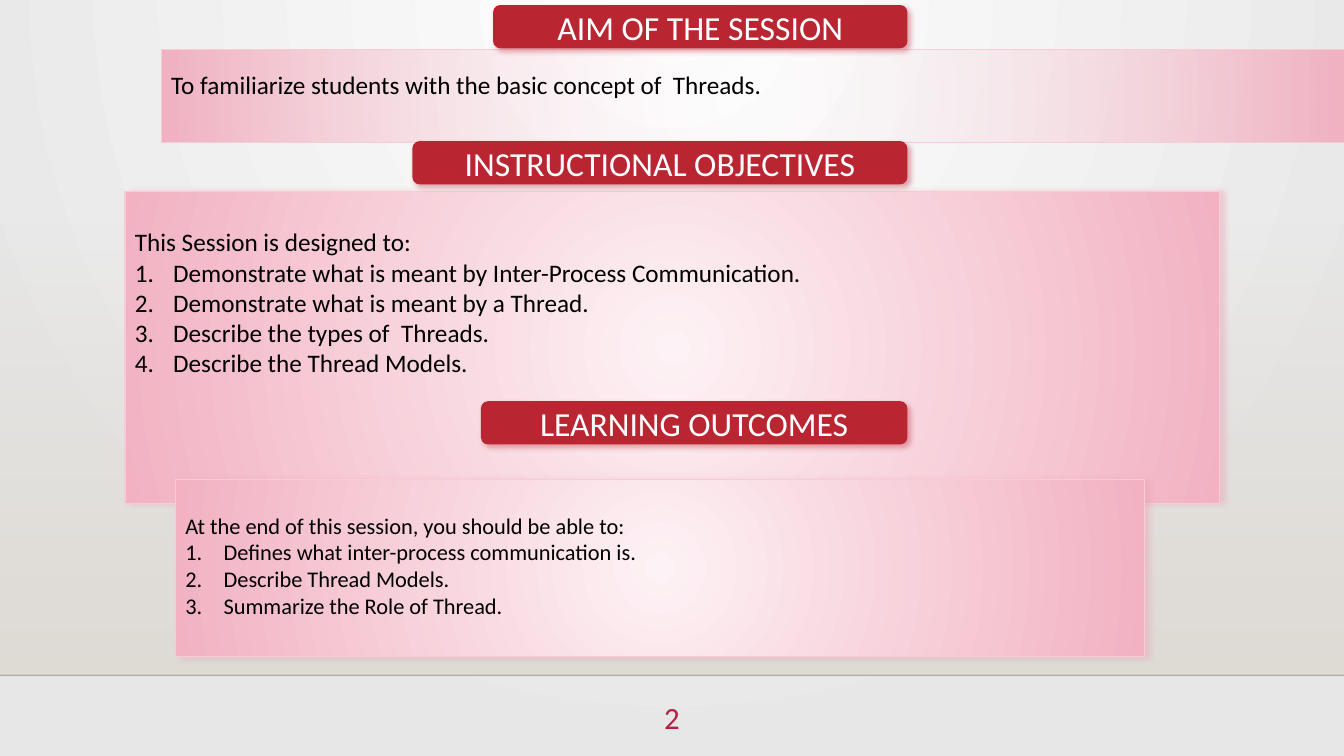
from dataclasses import dataclass

from pptx import Presentation
from pptx.dml.color import RGBColor
from pptx.dml.fill import FillFormat
from pptx.enum.shapes import MSO_CONNECTOR as Connector, MSO_SHAPE as Shape
from pptx.enum.text import MSO_ANCHOR as Anchor, PP_ALIGN as Align
from pptx.oxml import parse_xml
from pptx.oxml.ns import nsdecls, qn
from pptx.oxml.xmlchemy import BaseOxmlElement as Element
from pptx.shapes.autoshape import Shape as AutoShape
from pptx.slide import Slide
from pptx.text.text import TextFrame
from pptx.util import Emu, Inches, Pt


@dataclass(frozen=True)
class Theme:
    font: str = "Calibri"
    text: str = "000000"
    heading: str = "FFFFFF"
    banner: str = "BA2532"
    number: str = "B71E42"
    page_center: str = "FFFFFF"
    page_edge: str = "E7E7E7"
    wall: str = "DFDBD5"
    rule: str = "000001"
    panel_center: str = "FDF2F5"
    panel_edge: str = "F2B2C2"
    panel_line: str = "F7CCD6"
    panel_shadow: str = "EE99AD"
    heading_size: int = 24
    number_size: int = 22


@dataclass(frozen=True)
class Box:
    left: float
    top: float
    width: float
    height: float

    def lengths(self) -> tuple[Emu, ...]:
        return tuple(Inches(v) for v in (self.left, self.top, self.width, self.height))


@dataclass(frozen=True)
class Section:
    heading: str
    banner: Box
    panel: Box
    size: int
    spacing: float
    intro: str
    items: tuple[str, ...] = ()
    opacity: int = 100
    shadow: bool = True


THEME = Theme()
WIDTH, HEIGHT, FLOOR = 13.33, 7.5, 6.7
RADIAL = '<a:path path="circle"><a:fillToRect l="{}" t="{}" r="{}" b="{}"/></a:path>'
PAGE_SHADE = RADIAL.format(43000, 0, 43000, 100000)
PANEL_SHADE = RADIAL.format(50000, 50000, 50000, 50000)
WALL_SHADE = '<a:lin ang="5400000" scaled="0"/>'

SECTIONS = (
    Section("AIM OF THE SESSION", Box(4.89, 0.05, 4.11, 0.43),
            Box(1.6, 0.49, 11.74, 0.92), 18, 1.5,
            "To familiarize students with the basic concept of  Threads.",
            opacity=0, shadow=False),
    Section("INSTRUCTIONAL OBJECTIVES", Box(4.09, 1.4, 4.91, 0.43),
            Box(1.24, 1.9, 10.86, 3.1), 18, 2,
            "This Session is designed to:",
            ("Demonstrate what is meant by Inter-Process Communication.",
             "Demonstrate what is meant by a Thread.",
             "Describe the types of  Threads.",
             "Describe the Thread Models.")),
    Section("LEARNING OUTCOMES", Box(4.77, 3.98, 4.23, 0.43),
            Box(1.74, 4.76, 9.61, 1.75), 16, 2,
            "At the end of this session, you should be able to:",
            ("Defines what inter-process communication is.",
             "Describe Thread Models.",
             "Summarize the Role of Thread.")),
)


def color_xml(color: str, opacity: int) -> str:
    return f'<a:srgbClr val="{color}"><a:alpha val="{opacity * 1000}"/></a:srgbClr>'


def paint_gradient(fill: FillFormat, owner: Element, start: str, end: str,
                   shade: str, opacity: int = 100) -> None:
    fill.gradient()
    grad = owner.find(".//" + qn("a:gradFill"))
    grad.getparent().replace(grad, parse_xml(
        f'<a:gradFill {nsdecls("a")} rotWithShape="1"><a:gsLst>'
        f'<a:gs pos="0">{color_xml(start, opacity)}</a:gs>'
        f'<a:gs pos="100000">{color_xml(end, 100)}</a:gs>'
        f'</a:gsLst>{shade}</a:gradFill>'))


def cast_shadow(sp: AutoShape, color: str, angle: int) -> None:
    effects = sp.element.spPr.find(qn("a:effectLst"))
    effects.append(parse_xml(
        f'<a:outerShdw {nsdecls("a")} blurRad="{Pt(4)}" dist="{Pt(3)}" '
        f'dir="{angle * 60000}" algn="tl" rotWithShape="0">'
        f'{color_xml(color, 40)}</a:outerShdw>'))


def add_block(slide: Slide, kind: Shape, box: Box) -> AutoShape:
    sp = slide.shapes.add_shape(kind, *box.lengths())
    sp.shadow.inherit = False
    sp.line.fill.background()
    return sp


def write(tf: TextFrame, lines: tuple[str, ...], size: int, color: str, align: Align) -> None:
    tf.word_wrap = True
    for i, line in enumerate(lines):
        p = tf.add_paragraph() if i else tf.paragraphs[0]
        p.alignment = align
        r = p.add_run()
        r.text = line
        r.font.name = THEME.font
        r.font.size = Pt(size)
        r.font.color.rgb = RGBColor.from_string(color)


def add_panel(slide: Slide, section: Section) -> None:
    sp = add_block(slide, Shape.RECTANGLE, section.panel)
    paint_gradient(sp.fill, sp.element, THEME.panel_center, THEME.panel_edge,
                   PANEL_SHADE, section.opacity)
    sp.line.color.rgb = RGBColor.from_string(THEME.panel_line)
    sp.line.width = Pt(0.75)
    if section.shadow:
        cast_shadow(sp, THEME.panel_shadow, 0)
    tf = sp.text_frame
    tf.vertical_anchor = Anchor.TOP
    write(tf, (section.intro, *section.items), section.size, THEME.text, Align.LEFT)
    intro, *items = tf.paragraphs
    intro.line_spacing = float(section.spacing)
    for p in items:
        pPr = p._p.get_or_add_pPr()
        pPr.set("marL", str(Inches(0.38)))
        pPr.set("indent", str(-Inches(0.38)))
        pPr.append(parse_xml(f'<a:buAutoNum {nsdecls("a")} type="arabicPeriod"/>'))


def add_banner(slide: Slide, section: Section) -> None:
    sp = add_block(slide, Shape.ROUNDED_RECTANGLE, section.banner)
    sp.fill.solid()
    sp.fill.fore_color.rgb = RGBColor.from_string(THEME.banner)
    cast_shadow(sp, THEME.banner, 45)
    sp.text_frame.vertical_anchor = Anchor.MIDDLE
    write(sp.text_frame, (section.heading,), THEME.heading_size, THEME.heading, Align.CENTER)


def add_backdrop(slide: Slide) -> None:
    paint_gradient(slide.background.fill, slide.element, THEME.page_center,
                   THEME.page_edge, PAGE_SHADE)
    wall = add_block(slide, Shape.RECTANGLE, Box(0, 2.21, WIDTH, FLOOR - 2.21))
    paint_gradient(wall.fill, wall.element, THEME.wall, THEME.wall, WALL_SHADE, 0)
    rule = slide.shapes.add_connector(Connector.STRAIGHT, Inches(0), Inches(FLOOR),
                                      Inches(WIDTH), Inches(FLOOR))
    rule.line.width = Pt(1)
    rule.line.color.rgb = RGBColor.from_string(THEME.rule)
    color = rule.element.spPr.find(".//" + qn("a:srgbClr"))
    color.append(parse_xml(f'<a:alpha {nsdecls("a")} val="20000"/>'))
    rule.element.spPr.append(parse_xml(f'<a:effectLst {nsdecls("a")}/>'))


def main() -> None:
    prs = Presentation()
    prs.slide_width, prs.slide_height = Inches(WIDTH), Inches(HEIGHT)
    slide = prs.slides.add_slide(prs.slide_layouts[6])
    add_backdrop(slide)
    number = slide.shapes.add_textbox(*Box(6.22, 6.88, 0.89, 0.55).lengths())
    write(number.text_frame, ("2",), THEME.number_size, THEME.number, Align.CENTER)
    for section in SECTIONS:
        add_panel(slide, section)
        add_banner(slide, section)
    prs.save("out.pptx")


if __name__ == "__main__":
    main()
